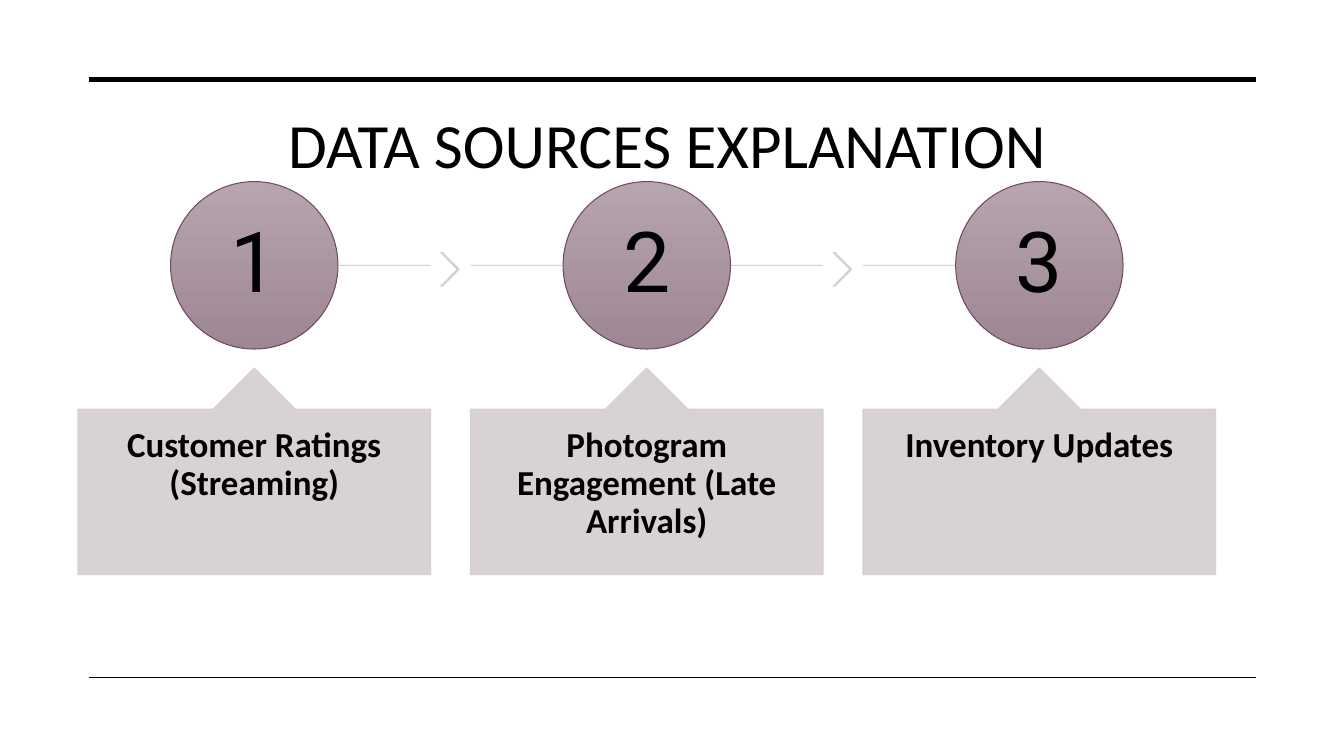
from dataclasses import dataclass

from lxml.etree import SubElement
from pptx import Presentation
from pptx.dml.color import RGBColor
from pptx.enum.shapes import MSO_CONNECTOR, MSO_SHAPE
from pptx.enum.text import MSO_ANCHOR, PP_ALIGN
from pptx.oxml.ns import qn
from pptx.util import Pt

BLACK, MAUVE, PLUM = "000000", "D4CED2", "734A64"
BADGE_TOP_COLOR, BADGE_BOTTOM_COLOR = "B6A4AE", "9E8794"
OPACITY = 90

CARD_LEFT, CARD_TOP, CARD_WIDTH, CARD_HEIGHT = 55.6, 262.8, 252, 147.6
CARD_PITCH = 280.4
BADGE_TOP, BADGE_SIZE = 129.7, 119.6
RAIL_Y = BADGE_TOP + BADGE_SIZE / 2
CHEVRON_OFFSET, CHEVRON_TOP, CHEVRON_WIDTH, CHEVRON_HEIGHT = 259.2, 180.4, 13.2, 24


@dataclass(frozen=True)
class Rule:
    y: float
    weight: float


@dataclass(frozen=True)
class TextStyle:
    font: str
    size: float
    bold: bool = False
    spacing: float = 1.0
    margin_x: float = 7.2
    margin_y: float = 3.6
    anchor: MSO_ANCHOR = MSO_ANCHOR.TOP


RULES = [Rule(56.9, 3.5), Rule(483.8, 1)]
STEPS = ["Customer Ratings (Streaming)", "Photogram Engagement (Late Arrivals)", "Inventory Updates"]
TITLE_STYLE = TextStyle("Calibri", 45)
NUMBER_STYLE = TextStyle("Roboto", 60, spacing=0.9, margin_x=4.3, margin_y=4.3, anchor=MSO_ANCHOR.MIDDLE)
CARD_STYLE = TextStyle("Calibri", 25, bold=True, spacing=0.9, margin_x=19.9, margin_y=13)


def color(value: str) -> RGBColor:
    return RGBColor.from_string(value)


def make_translucent(shape) -> None:
    """Give every solid colour of the shape the common opacity."""
    for rgb in shape._element.spPr.iter(qn("a:srgbClr")):
        SubElement(rgb, qn("a:alpha")).set("val", str(OPACITY * 1000))


def write_text(shape, text: str, style: TextStyle) -> None:
    frame = shape.text_frame
    frame.word_wrap = True
    frame.vertical_anchor = style.anchor
    frame.margin_left = frame.margin_right = Pt(style.margin_x)
    frame.margin_top = frame.margin_bottom = Pt(style.margin_y)
    paragraph = frame.paragraphs[0]
    paragraph.text = text
    paragraph.alignment = PP_ALIGN.CENTER
    paragraph.line_spacing = style.spacing
    paragraph.font.name = style.font
    paragraph.font.size = Pt(style.size)
    paragraph.font.bold = style.bold
    paragraph.font.color.rgb = color(BLACK)


def add_line(slide, left: float, right: float, y: float, weight: float, line_color: str):
    line = slide.shapes.add_connector(MSO_CONNECTOR.STRAIGHT, Pt(left), Pt(y), Pt(right), Pt(y))
    line.line.color.rgb = color(line_color)
    line.line.width = Pt(weight)
    SubElement(line._element.spPr, qn("a:effectLst"))
    return line


def add_outlined(slide, kind, left: float, top: float, width: float, height: float, line_color: str):
    shape = slide.shapes.add_shape(kind, Pt(left), Pt(top), Pt(width), Pt(height))
    shape.shadow.inherit = False
    shape.line.color.rgb = color(line_color)
    shape.line.width = Pt(0.75)
    return shape


def add_pale_shape(slide, kind, left: float, top: float, width: float, height: float,
                   adjustments: list[float]):
    shape = add_outlined(slide, kind, left, top, width, height, MAUVE)
    shape.fill.solid()
    shape.fill.fore_color.rgb = color(MAUVE)
    for index, value in enumerate(adjustments):
        shape.adjustments[index] = value
    make_translucent(shape)
    return shape


def add_badge(slide, center: float, number: int) -> None:
    badge = add_outlined(slide, MSO_SHAPE.OVAL, center - BADGE_SIZE / 2, BADGE_TOP,
                         BADGE_SIZE, BADGE_SIZE, PLUM)
    badge.fill.gradient()
    badge.fill.gradient_angle = 270
    for stop, stop_color in zip(badge.fill.gradient_stops, (BADGE_TOP_COLOR, BADGE_BOTTOM_COLOR)):
        stop.color.rgb = color(stop_color)
    write_text(badge, str(number), NUMBER_STYLE)


def add_step(slide, index: int, caption: str) -> None:
    """Draw the rail, chevron, numbered badge and caption card of one step."""
    left = CARD_LEFT + index * CARD_PITCH
    center, right = left + CARD_WIDTH / 2, left + CARD_WIDTH
    is_first, is_last = index == 0, index == len(STEPS) - 1
    rail = add_line(slide, center if is_first else left, center if is_last else right,
                    RAIL_Y, 0.75, MAUVE)
    make_translucent(rail)
    if not is_last:
        add_pale_shape(slide, MSO_SHAPE.CHEVRON, left + CHEVRON_OFFSET, CHEVRON_TOP,
                       CHEVRON_WIDTH, CHEVRON_HEIGHT, [0.9])
    add_badge(slide, center, index + 1)
    card = add_pale_shape(slide, MSO_SHAPE.UP_ARROW_CALLOUT, left, CARD_TOP,
                          CARD_WIDTH, CARD_HEIGHT, [0.5, 0.2, 0.2, 1])
    write_text(card, caption, CARD_STYLE)


def main() -> None:
    presentation = Presentation()
    presentation.slide_width, presentation.slide_height = Pt(960), Pt(540)
    slide = presentation.slides.add_slide(presentation.slide_layouts[6])
    for rule in RULES:
        add_line(slide, 63.4, 897.1, rule.y, rule.weight, BLACK)
    title = slide.shapes.add_textbox(Pt(55.6), Pt(72), Pt(841.7), Pt(103))
    write_text(title, "DATA SOURCES EXPLANATION", TITLE_STYLE)
    for index, caption in enumerate(STEPS):
        add_step(slide, index, caption)
    presentation.save("out.pptx")


if __name__ == "__main__":
    main()
